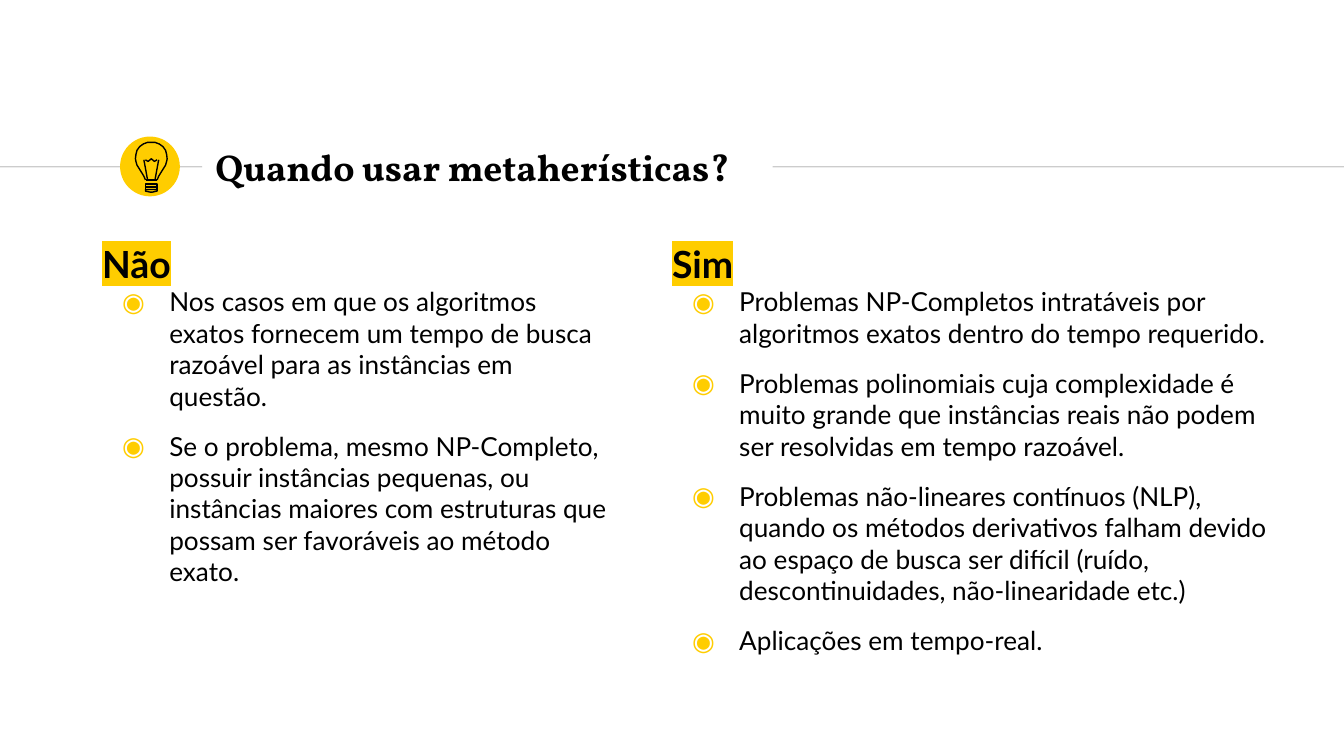
"""Builds a slide comparing when not to use and when to use metaheuristics."""
from lxml.etree import SubElement
from pptx import Presentation
from pptx.dml.color import RGBColor
from pptx.enum.shapes import MSO_CONNECTOR as Connector, MSO_SHAPE as Shape
from pptx.enum.text import MSO_ANCHOR as Anchor, MSO_AUTO_SIZE as AutoSize, PP_ALIGN as Align
from pptx.oxml import parse_xml
from pptx.oxml.ns import nsdecls, qn
from pptx.util import Cm, Pt

COLORS = {"accent": "FFCD00", "text": "000000", "rule": "CCCCCC", "back": "FFFFFF"}

NO_ITEMS = [
    "Nos casos em que os algoritmos exatos fornecem um tempo de busca razoável para as instâncias em questão.",
    "Se o problema, mesmo NP-Completo, possuir instâncias pequenas, ou instâncias maiores com estruturas que "
    "possam ser favoráveis ao método exato.",
]
YES_ITEMS = [
    "Problemas NP-Completos intratáveis por algoritmos exatos dentro do tempo requerido.",
    "Problemas polinomiais cuja complexidade é muito grande que instâncias reais não podem ser resolvidas em "
    "tempo razoável.",
    "Problemas não-lineares contínuos (NLP), quando os métodos derivativos falham devido ao espaço de busca ser "
    "difícil (ruído, descontinuidades, não-linearidade etc.)",
    "Aplicações em tempo-real.",
]

BULB_CENTER = 286
GLASS_HALF = [(11, 340), (14, 333), (17, 328), (22, 320), (27, 312), (29, 305), (30, 300),
              (29, 292), (27, 284), (22, 277), (15, 272), (7, 269), (0, 269)]
WIRE = [(7, 340), (11, 318), (14, 302)]
FILAMENT = [(-11, 302), (-6, 305), (0, 300), (6, 305), (11, 302)]
TIP = [(-11, 358), (-11, 361), (-2, 363), (2, 363), (11, 361), (11, 358)]


def mirror(points):
    """Reflects points across the bulb's vertical axis."""
    return [(-x, y) for x, y in points]


class SlideBuilder:
    """Holds the style and the current slide."""

    heading_font = "Vollkorn"
    body_font = "Lato"
    inset = Cm(0.25)

    def __init__(self, deck):
        """Adds a two-column slide with a plain background."""
        self.slide = deck.slides.add_slide(deck.slide_layouts[3])
        self.slide.background.fill.solid()
        self.slide.background.fill.fore_color.rgb = self.color("back")

    def color(self, name):
        """Returns a named colour."""
        return RGBColor.from_string(COLORS[name])

    def place(self, box, left, top, width, height, anchor):
        """Moves a placeholder and sets its text frame."""
        box.left, box.top, box.width, box.height = Cm(left), Cm(top), Cm(width), Cm(height)
        frame = box.text_frame
        frame.word_wrap, frame.auto_size, frame.vertical_anchor = True, AutoSize.NONE, anchor
        frame.margin_left = frame.margin_right = frame.margin_top = frame.margin_bottom = self.inset
        return frame

    def add_text(self, para, text, font, size, bold):
        """Adds one run to a left-aligned paragraph."""
        para.alignment = Align.LEFT
        para.space_before = Pt(0)
        span = para.add_run()
        span.text = text
        span.font.name, span.font.size, span.font.bold = font, Pt(size), bold
        span.font.color.rgb = self.color("text")
        return span

    def title(self, text, *bounds):
        """Fills the title placeholder."""
        box = self.slide.shapes.title
        frame = self.place(box, *bounds, Anchor.MIDDLE)
        self.add_text(frame.paragraphs[0], text, self.heading_font, 20, True)
        return box

    def column(self, index, heading, items, *bounds):
        """Fills a body placeholder with a highlighted heading and bullets."""
        frame = self.place(self.slide.placeholders[index], *bounds, Anchor.TOP)
        para = frame.paragraphs[0]
        span = self.add_text(para, heading, self.body_font, 20, True)
        properties = para._p.get_or_add_pPr()
        properties.set("marL", "0")
        properties.set("indent", "0")
        SubElement(properties, qn("a:buNone"))
        highlight = f'<a:highlight {nsdecls("a")}><a:srgbClr val="{COLORS["accent"]}"/></a:highlight>'
        span.font._element.find(qn("a:solidFill")).addnext(parse_xml(highlight))
        for item in items:
            para = frame.add_paragraph()
            self.add_text(para, item, self.body_font, 14, False)
            para.space_after = Pt(10)
            self.bullet(para)

    def bullet(self, para):
        """Gives a paragraph a hanging accent bullet."""
        properties = para._p.get_or_add_pPr()
        properties.set("marL", str(Cm(1.27)))
        properties.set("indent", str(-Cm(0.89)))
        SubElement(SubElement(properties, qn("a:buClr")), qn("a:srgbClr"), val=COLORS["accent"])
        SubElement(properties, qn("a:buFont"), typeface=self.body_font)
        SubElement(properties, qn("a:buChar"), char="◉")

    def line(self, start, end, color):
        """Draws a thin straight line."""
        line = self.slide.shapes.add_connector(Connector.STRAIGHT, *map(Cm, start + end))
        line.line.color.rgb = self.color(color)
        line.line.width = Pt(0.75)
        SubElement(line._element.spPr, qn("a:effectLst"))
        return line

    def disc(self, left, top, size):
        """Draws a filled accent circle."""
        disc = self.slide.shapes.add_shape(Shape.OVAL, Cm(left), Cm(top), Cm(size), Cm(size))
        disc.shadow.inherit = False
        disc.fill.solid()
        disc.fill.fore_color.rgb = self.color("accent")
        disc.line.fill.background()

    def stroke(self, points, close=False):
        """Draws an unfilled bulb outline in hundredths of a centimetre."""
        start, *rest = [(BULB_CENTER + x, y) for x, y in points]
        builder = self.slide.shapes.build_freeform(*start, scale=Cm(0.01))
        builder.add_line_segments(rest, close=close)
        outline = builder.convert_to_shape()
        outline.shadow.inherit = False
        outline.fill.background()
        outline.line.color.rgb = self.color("text")
        outline.line.width = Pt(0.75)

    def bulb(self):
        """Draws the light bulb from its parts."""
        for top in (348, 353):
            self.stroke([(-11, top), (11, top), (11, top + 5), (-11, top + 5)], close=True)
        self.stroke(TIP, close=True)
        self.stroke(GLASS_HALF + mirror(GLASS_HALF[-2::-1]))
        for wire in (WIRE, mirror(WIRE)):
            self.stroke(wire)
        self.stroke(FILAMENT)
        self.line((2.75, 3.4), (2.97, 3.4), "text")


def main():
    """Builds and saves the deck."""
    deck = Presentation()
    deck.slide_width, deck.slide_height = Cm(25.4), Cm(14.28)
    page = SlideBuilder(deck)
    title = page.title("Quando usar metaherísticas?", 3.82, 2.55, 10.78, 1.2)
    page.column(1, "Não", NO_ITEMS, 1.68, 4.3, 10.18, 8.97)
    page.column(2, "Sim", YES_ITEMS, 12.45, 4.3, 11.84, 8.97)
    page.line((0, 3.15), (3.82, 3.15), "rule").end_connect(title, 1)
    page.line((14.6, 3.15), (25.4, 3.15), "rule").begin_connect(title, 3)
    page.disc(2.27, 2.58, 1.13)
    page.bulb()
    deck.save("out.pptx")


if __name__ == "__main__":
    main()
